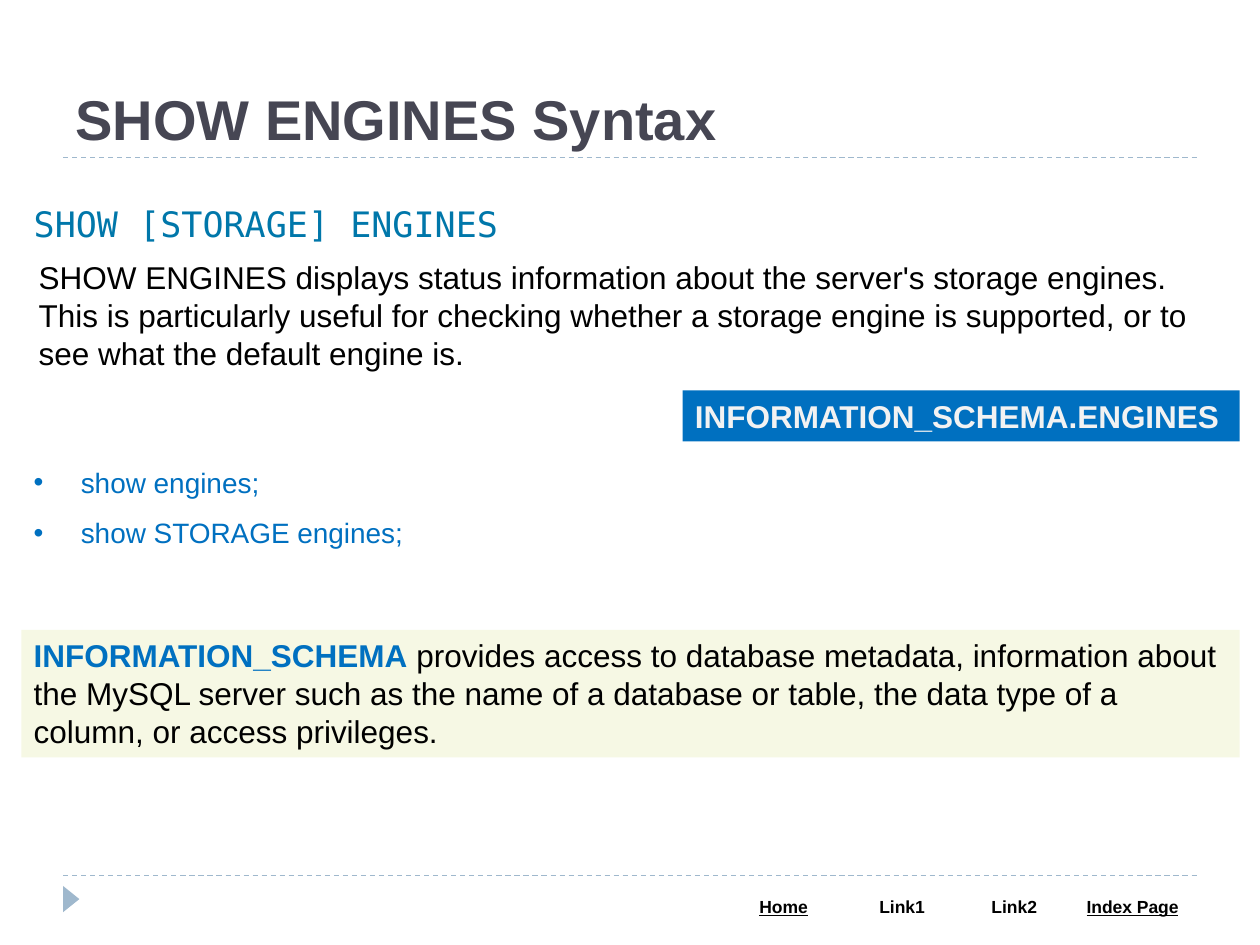
import lxml.etree
import pptx
import pptx.dml.color
import pptx.enum.dml
import pptx.enum.shapes
import pptx.enum.text
import pptx.oxml.ns
import pptx.util
from pptx.util import Cm

COLORS = {
    "title": "464653",
    "accent": "9FB8CD",
    "code": "0077AA",
    "blue": "0070C0",
    "pale": "F2F2F2",
    "cream": "F6F8E4",
    "black": "000000",
    "white": "FFFFFF",
}
MARGIN = Cm(1.27)
CONTENT_WIDTH = Cm(22.86)


def rgb(name):
    return pptx.dml.color.RGBColor.from_string(COLORS[name])


def add_element(parent, tag, **attributes):
    return lxml.etree.SubElement(parent, pptx.oxml.ns.qn(tag), attributes)


def style_font(font, size, color, bold=False, name="Arial"):
    font.name = name
    font.size = pptx.util.Pt(size)
    font.bold = bold
    font.color.rgb = rgb(color)


def add_box(page, left, top, width, height, fill=None):
    """Add a wrapping text box and return its text frame."""
    box = page.shapes.add_textbox(left, top, width, height)
    if fill:
        box.fill.solid()
        box.fill.fore_color.rgb = rgb(fill)
    box.text_frame.word_wrap = True
    return box.text_frame


def add_text(page, text, place, size, color, fill=None, **font):
    """Add a box that holds one paragraph in one style."""
    frame = add_box(page, *place, fill=fill)
    para = frame.paragraphs[0]
    para.text = text
    style_font(para.font, size, color, **font)
    return frame


def add_bullets(page, items, place):
    frame = add_box(page, *place)
    for index, item in enumerate(items):
        para = frame.add_paragraph() if index else frame.paragraphs[0]
        para.text = item
        para.line_spacing = 1.5
        properties = para._p.get_or_add_pPr()
        indent = Cm(0.95)
        properties.set("marL", str(indent))
        properties.set("indent", str(-indent))
        add_element(properties, "a:buFont", typeface="Arial")
        add_element(properties, "a:buChar", char="•")
        style_font(para.font, 16, "blue")


def add_note(page, term, explanation, place):
    """Add a tinted box whose leading term stands out."""
    para = add_box(page, *place, fill="cream").paragraphs[0]
    for text, color, bold in ((term, "blue", True), (explanation, "black", False)):
        span = para.add_run()
        span.text = text
        style_font(span.font, 18, color, bold)


def add_rule(page, top):
    rule = page.shapes.add_connector(
        pptx.enum.shapes.MSO_CONNECTOR.STRAIGHT, MARGIN, top, MARGIN + CONTENT_WIDTH, top
    )
    rule.line.color.rgb = rgb("accent")
    rule.line.width = pptx.util.Pt(0.75)
    rule.line.dash_style = pptx.enum.dml.MSO_LINE.DASH
    add_element(rule._element.spPr, "a:effectLst")


def add_marker(page):
    marker = page.shapes.add_shape(
        pptx.enum.shapes.MSO_SHAPE.ISOSCELES_TRIANGLE,
        Cm(1.17), Cm(17.96), Cm(0.53), Cm(0.33),
    )
    marker.rotation = 90
    marker.shadow.inherit = False
    marker.fill.solid()
    marker.fill.fore_color.rgb = rgb("accent")
    marker.line.fill.background()


def set_borders(cell):
    properties = cell._tc.get_or_add_tcPr()
    for side, points in (("L", 1), ("R", 1), ("T", 1), ("B", 3)):
        border = add_element(properties, f"a:ln{side}", w=str(pptx.util.Pt(points)))
        fill = add_element(border, "a:solidFill")
        add_element(fill, "a:srgbClr", val=COLORS["white"])


def add_navigation(page, links):
    """Add the footer table from (label, column width, underlined) entries."""
    widths = [Cm(width) for _, width, _ in links]
    table = page.shapes.add_table(
        1, len(links), Cm(14.6), Cm(17.98), sum(widths), Cm(0.69)
    ).table
    for index, (label, _, underlined) in enumerate(links):
        table.columns[index].width = widths[index]
        cell = table.cell(0, index)
        set_borders(cell)
        cell.fill.solid()
        cell.fill.fore_color.rgb = rgb("white")
        para = cell.text_frame.paragraphs[0]
        para.text = label
        para.alignment = pptx.enum.text.PP_ALIGN.CENTER
        style_font(para.font, 10, "black", bold=True)
        para.font.underline = underlined


def main():
    deck = pptx.Presentation()
    deck.slide_width, deck.slide_height = Cm(25.4), Cm(19.05)
    page = deck.slides.add_slide(deck.slide_layouts[6])

    for top in (Cm(17.65), Cm(3.18)):
        add_rule(page, top)
    add_navigation(page, [
        ("Home", 2.39, True),
        ("Link1", 2.39, False),
        ("Link2", 2.13, False),
        ("Index Page", 2.64, True),
    ])
    add_marker(page)

    title = add_text(
        page, "SHOW ENGINES Syntax",
        (MARGIN, Cm(0.64), CONTENT_WIDTH, Cm(2.54)), 32, "title", bold=True,
    )
    title.vertical_anchor = pptx.enum.text.MSO_ANCHOR.BOTTOM
    add_text(
        page, "SHOW [STORAGE] ENGINES",
        (Cm(0.43), Cm(3.96), Cm(24.33), Cm(1.12)), 20, "code",
        fill="white", name="DejaVu Sans Mono",
    )
    add_bullets(
        page, ["show engines;", "show STORAGE engines;"],
        (Cm(0.43), Cm(8.92), Cm(24.56), Cm(2.31)),
    )
    add_text(
        page, "INFORMATION_SCHEMA.ENGINES",
        (Cm(13.76), Cm(7.87), Cm(11.23), Cm(1.03)), 18, "pale",
        fill="blue", bold=True,
    )
    add_text(
        page,
        "SHOW ENGINES displays status information about the server's storage "
        "engines. This is particularly useful for checking whether a storage "
        "engine is supported, or to see what the default engine is.",
        (Cm(0.53), Cm(5.08), Cm(24.33), Cm(2.57)), 18, "black",
    )
    add_note(
        page, "INFORMATION_SCHEMA",
        " provides access to database metadata, information about the MySQL "
        "server such as the name of a database or table, the data type of a "
        "column, or access privileges.",
        (Cm(0.43), Cm(12.7), Cm(24.56), Cm(2.57)),
    )
    deck.save("out.pptx")


if __name__ == "__main__":
    main()
